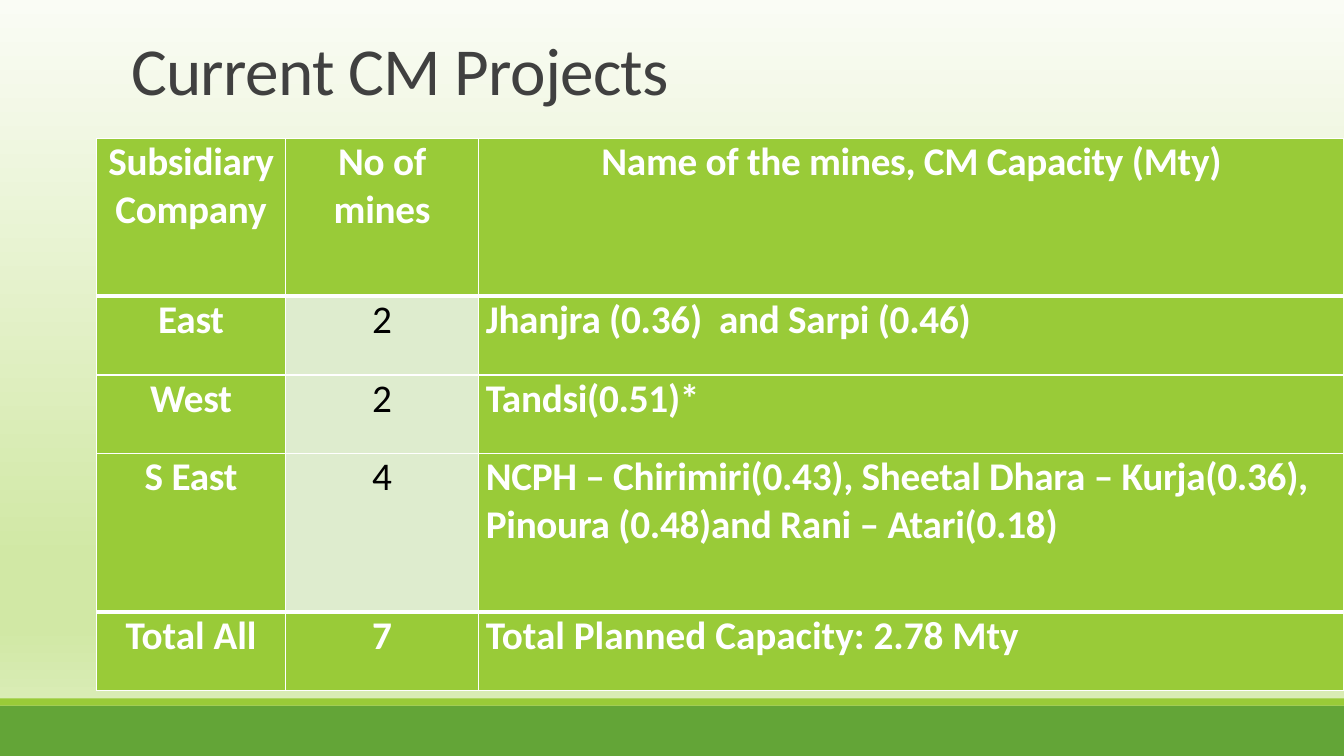
from dataclasses import dataclass

from lxml.etree import SubElement
from pptx import Presentation
from pptx.dml.color import RGBColor
from pptx.enum.shapes import MSO_SHAPE
from pptx.enum.text import MSO_ANCHOR, MSO_AUTO_SIZE, PP_ALIGN
from pptx.oxml.ns import qn
from pptx.util import Inches, Pt

WHITE = RGBColor(0xFF, 0xFF, 0xFF)
BLACK = RGBColor(0x00, 0x00, 0x00)
TITLE_GREY = RGBColor(0x40, 0x40, 0x40)
LIME = RGBColor(0x99, 0xCB, 0x38)
PALE_GREEN = RGBColor(0xDE, 0xEC, 0xCE)
DARK_GREEN = RGBColor(0x63, 0xA5, 0x37)
BACKGROUND_STOPS = (
    (0, RGBColor(0xFA, 0xFC, 0xF5)),
    (74, RGBColor(0xD1, 0xE8, 0xA5)),
    (83, RGBColor(0xD1, 0xE8, 0xA5)),
    (100, RGBColor(0xE0, 0xEF, 0xC3)),
)
FONT = "Calibri"


@dataclass
class Band:
    top: float
    height: float
    color: RGBColor


@dataclass
class MineRow:
    height: float
    company: str
    mines: str
    capacity: str


FOOTER_BANDS = (Band(7, 0.5, DARK_GREEN), Band(6.93, 0.07, LIME))
COLUMN_WIDTHS = (1.87, 1.92, 8.58)
MINE_ROWS = (
    MineRow(1.57, "Subsidiary Company", "No of mines", "Name of the mines, CM Capacity (Mty)"),
    MineRow(0.78, "East", "2", "Jhanjra (0.36)  and Sarpi (0.46)"),
    MineRow(0.78, "West", "2", "Tandsi(0.51)*"),
    MineRow(1.57, "S East", "4",
            "NCPH – Chirimiri(0.43), Sheetal Dhara – Kurja(0.36), "
            "Pinoura (0.48)and Rani – Atari(0.18)"),
    MineRow(0.78, "Total All", "7", "Total Planned Capacity: 2.78 Mty"),
)
LAST_ROW = len(MINE_ROWS) - 1


def paint_background(slide) -> None:
    fill = slide.background.fill
    fill.gradient()
    fill.gradient_angle = 270
    stops = slide.element.find(".//" + qn("a:gsLst"))
    for stop in list(stops):
        stops.remove(stop)
    for percent, color in BACKGROUND_STOPS:
        stop = SubElement(stops, qn("a:gs"), pos=str(percent * 1000))
        SubElement(stop, qn("a:srgbClr"), val=str(color))


def add_band(slide, band: Band) -> None:
    bar = slide.shapes.add_shape(MSO_SHAPE.RECTANGLE, 0, Inches(band.top),
                                 Inches(13.33), Inches(band.height))
    bar.shadow.inherit = False
    bar.fill.solid()
    bar.fill.fore_color.rgb = band.color
    bar.line.fill.background()


def format_text(paragraph, size: float, color: RGBColor, bold: bool, spacing: int) -> None:
    """Format every run; spacing is in hundredths of a point."""
    for run in paragraph.runs:
        run.font.name = FONT
        run.font.size = Pt(size)
        run.font.bold = bold
        run.font.color.rgb = color
        run.font._element.set("spc", str(spacing))


def add_title(slide, wording: str) -> None:
    title = slide.shapes.title
    title.left, title.top = Inches(1.2), Inches(0.31)
    title.width, title.height = Inches(11), Inches(0.82)
    frame = title.text_frame
    frame.text = wording
    frame.word_wrap = True
    frame.auto_size = MSO_AUTO_SIZE.NONE
    frame.vertical_anchor = MSO_ANCHOR.BOTTOM
    heading = frame.paragraphs[0]
    heading.alignment = PP_ALIGN.LEFT
    heading.line_spacing = 0.85
    format_text(heading, 48, TITLE_GREY, False, -50)


def set_borders(cell, row: int) -> None:
    top = 3 if row in (1, LAST_ROW) else 1
    bottom = 3 if row in (0, LAST_ROW - 1) else 1
    properties = cell._tc.get_or_add_tcPr()
    for side, width in (("L", 1), ("R", 1), ("T", top), ("B", bottom)):
        border = SubElement(properties, qn(f"a:ln{side}"), w=str(Pt(width)))
        solid = SubElement(border, qn("a:solidFill"))
        SubElement(solid, qn("a:srgbClr"), val=str(WHITE))


def fill_cell(cell, row: int, column: int, wording: str) -> None:
    is_count = column == 1 and 0 < row < LAST_ROW
    set_borders(cell, row)
    cell.fill.solid()
    cell.fill.fore_color.rgb = PALE_GREEN if is_count else LIME
    cell.margin_left = cell.margin_right = Inches(0.07)
    cell.margin_top = cell.margin_bottom = 0
    cell.text_frame.text = wording
    entry = cell.text_frame.paragraphs[0]
    entry.alignment = PP_ALIGN.LEFT if column == 2 and row > 0 else PP_ALIGN.CENTER
    format_text(entry, 28, BLACK if is_count else WHITE, not is_count,
                0 if row == LAST_ROW else -20)


def add_mine_table(slide) -> None:
    total_height = sum(mine_row.height for mine_row in MINE_ROWS)
    mines = slide.shapes.add_table(
        len(MINE_ROWS), len(COLUMN_WIDTHS), Inches(0.96), Inches(1.37),
        Inches(sum(COLUMN_WIDTHS)), Inches(total_height)).table
    mines.horz_banding = False
    for column, width in zip(mines.columns, COLUMN_WIDTHS):
        column.width = Inches(width)
    for row, mine_row in enumerate(MINE_ROWS):
        mines.rows[row].height = Inches(mine_row.height)
        entries = (mine_row.company, mine_row.mines, mine_row.capacity)
        for column, wording in enumerate(entries):
            fill_cell(mines.cell(row, column), row, column, wording)


def main() -> None:
    deck = Presentation()
    deck.slide_width, deck.slide_height = Inches(13.33), Inches(7.5)
    slide = deck.slides.add_slide(deck.slide_layouts[5])

    # Background and footer bands
    paint_background(slide)
    for band in FOOTER_BANDS:
        add_band(slide, band)

    # Title and table of mines
    add_title(slide, "Current CM Projects")
    add_mine_table(slide)

    deck.save("out.pptx")


if __name__ == "__main__":
    main()
